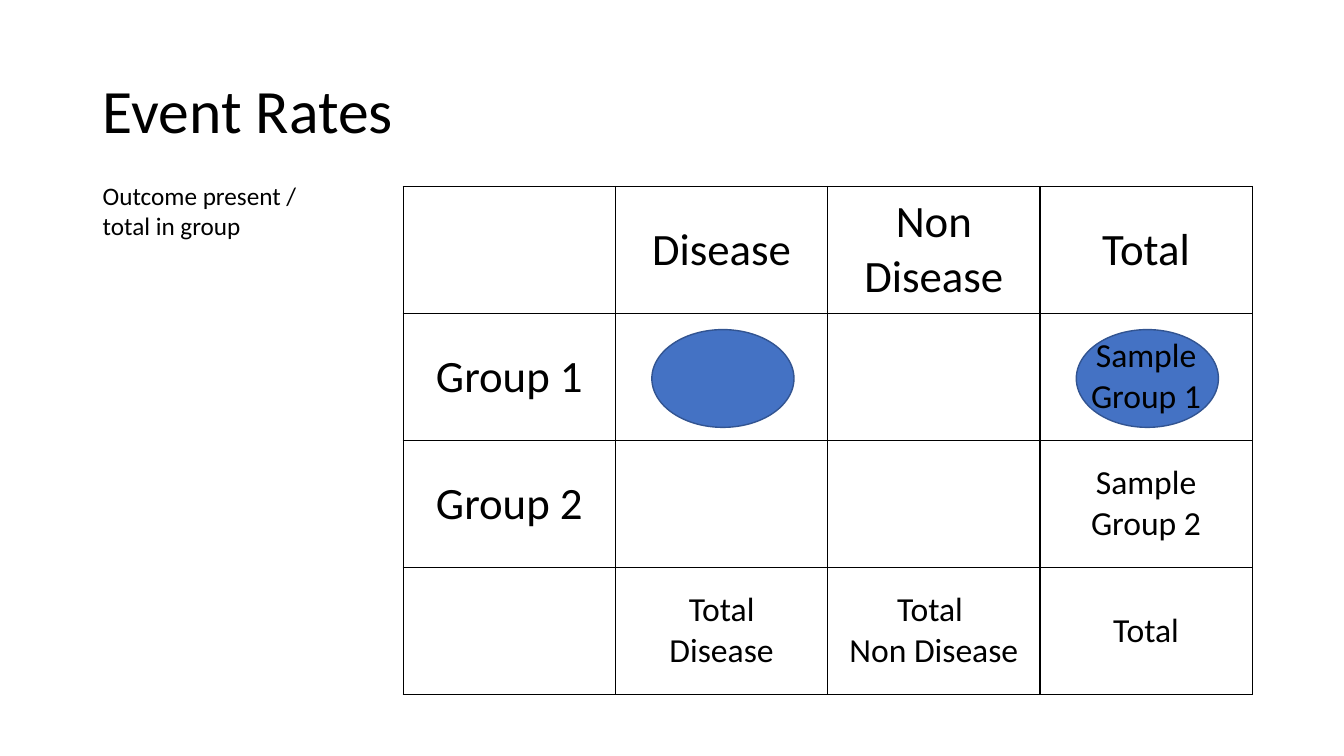
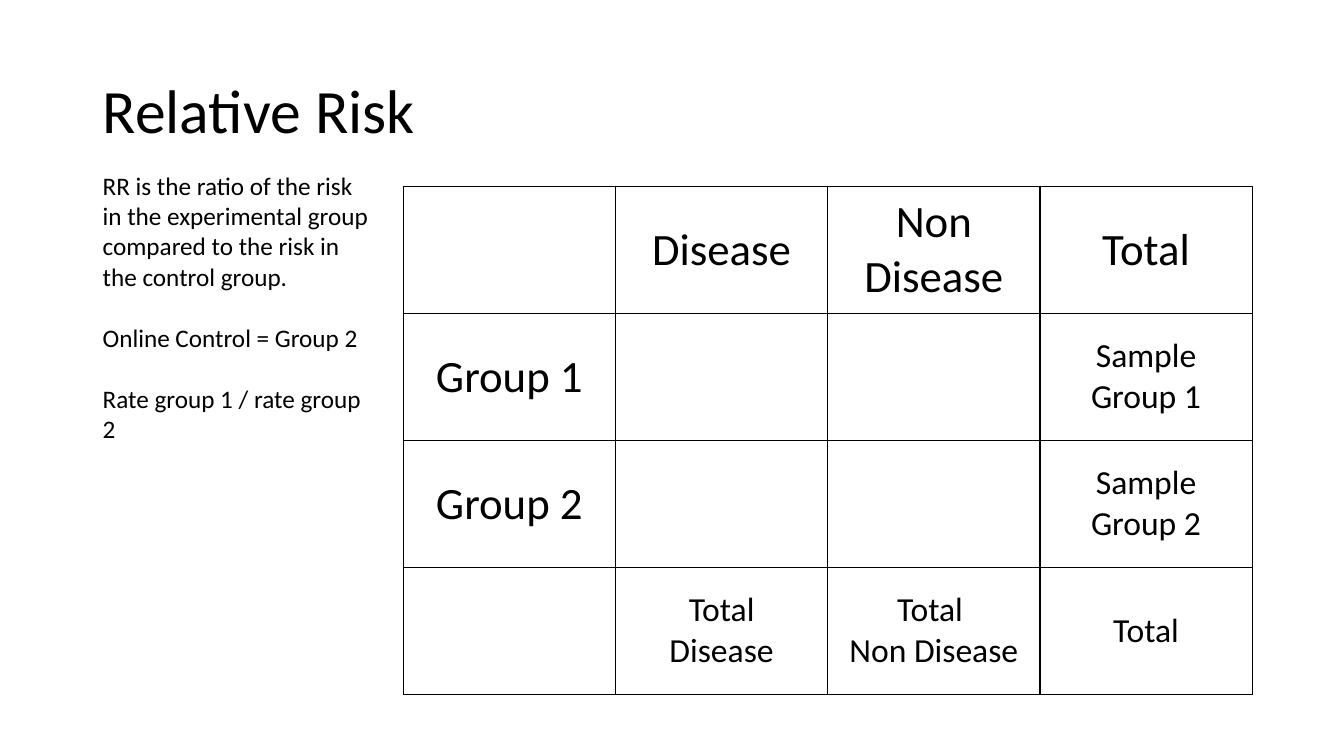
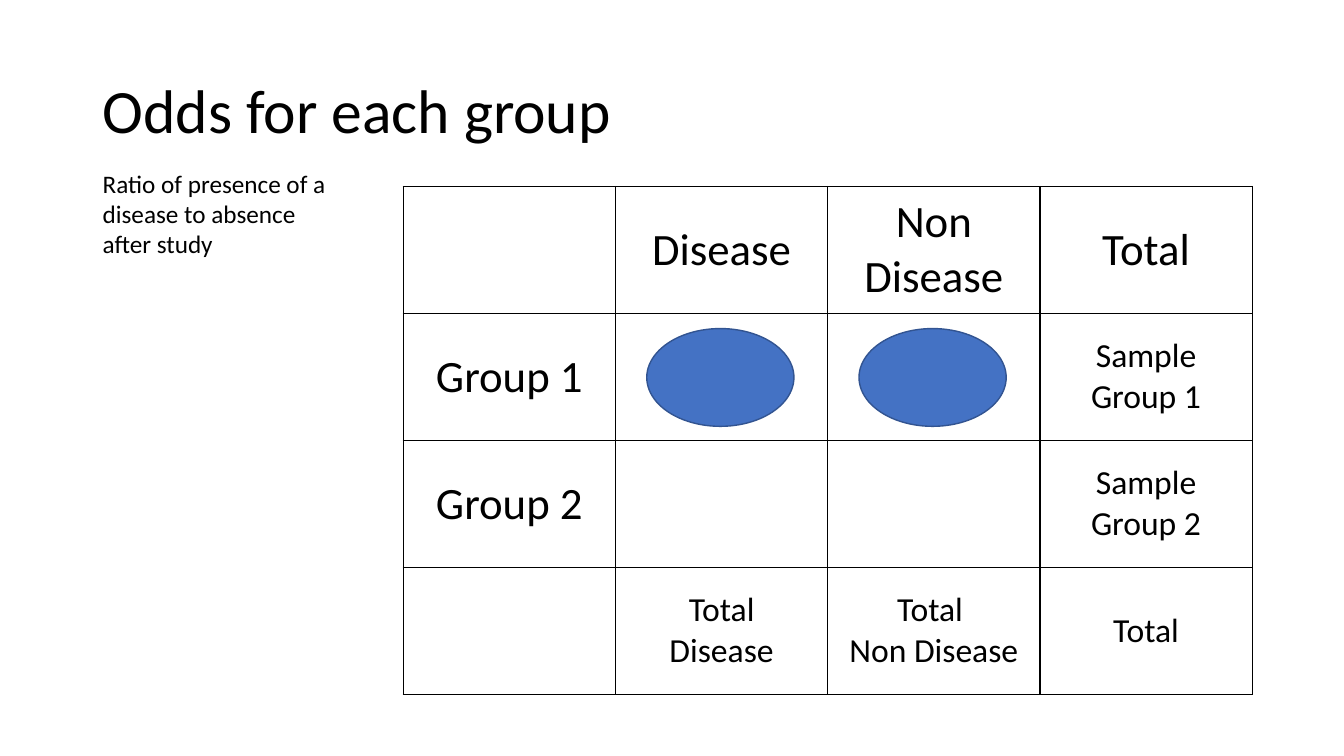
from lxml.etree import SubElement as Sub
from pptx import Presentation
from pptx.dml.color import RGBColor as RGB
from pptx.enum.shapes import MSO_SHAPE as Kind
from pptx.enum.text import MSO_ANCHOR as Anchor, MSO_AUTO_SIZE as Auto, PP_ALIGN as Align
from pptx.oxml.ns import qn
from pptx.util import Inches, Pt

HUES = {"ink": "000000", "oval": "4472C4", "edge": "325491"}
FACE = "Calibri"
SIZES = {"title": Pt(44), "head": Pt(32), "cell": Pt(24), "note": Pt(18)}
HEAD = (0.92, 0.4, 11.5, 1.45)
GRID = (4, 1.85, 8.42, 5.04)
ROWS = [
    ["", "Disease", "Non Disease", "Total"],
    ["Group 1", "", "", "Sample Group 1"],
    ["Group 2", "", "", "Sample Group 2"],
    ["", "Total\nDisease", "Total \nNon Disease", "Total"],
]
COUNT = len(ROWS)

PAGES = [
    {
        "title": "Event Rates",
        "note": ["Outcome present / total in group"],
        "box": (0.92, 1.74, 2.39, 0.71),
        "size": (1.41, 0.97),
        "inset": (0.36, 0.16),
        "under": [(1, 3)],
        "over": [(1, 1)],
    },
    {
        "title": "Relative Risk",
        "note": [
            "RR is the ratio of the risk in the experimental group "
            "compared to the risk in the control group.",
            "Online Control = Group 2",
            "Rate group 1 / rate group 2",
        ],
        "box": (0.92, 1.64, 2.86, 2.83),
    },
    {
        "title": "Odds for each group",
        "note": ["Ratio of presence of a disease to absence after study"],
        "box": (0.92, 1.62, 2.64, 1.01),
        "size": (1.46, 0.97),
        "inset": (0.31, 0.15),
        "over": [(1, 1), (1, 2)],
    },
]


def style(item, **values):
    """Set each given attribute on an object."""
    for name, value in values.items():
        setattr(item, name, value)


def write(frame, lines, size, align, **values):
    """Fill a text frame with one paragraph for each line."""
    frame.text = "\n".join(lines)
    for para in frame.paragraphs:
        style(para, alignment=align, **values)
        style(para.font, name=FACE, size=size, bold=False)
        para.font.color.rgb = RGB.from_string(HUES["ink"])


def add_title(slide, text, box):
    """Place the slide title in its box."""
    title = slide.shapes.title
    left, top, width, height = map(Inches, box)
    style(title, left=left, top=top, width=width, height=height)
    title.text_frame.vertical_anchor = Anchor.MIDDLE
    write(title.text_frame, [text], SIZES["title"], Align.LEFT, line_spacing=0.9)


def add_note(slide, lines, box):
    """Place the explanation beside the table."""
    frame = slide.shapes.add_textbox(*map(Inches, box)).text_frame
    style(frame, word_wrap=True, auto_size=Auto.SHAPE_TO_FIT_TEXT)
    write(frame, lines, SIZES["note"], Align.LEFT)
    for para in frame.paragraphs[1:]:
        para.space_before = Pt(22)


def add_edges(cell):
    """Draw a thin line on all four sides of a cell."""
    props = cell._tc.get_or_add_tcPr()
    for side in ("lnL", "lnR", "lnT", "lnB"):
        line = Sub(props, qn("a:" + side), w=str(Pt(1)))
        fill = Sub(line, qn("a:solidFill"))
        Sub(fill, qn("a:srgbClr"), val=HUES["ink"])


def add_grid(slide, box):
    """Place the two-by-two table with its totals."""
    table = slide.shapes.add_table(COUNT, COUNT, *map(Inches, box)).table
    style(table, first_row=False, horz_banding=False)
    for i, row in enumerate(ROWS):
        table.columns[i].width = Inches(box[2] / COUNT)
        table.rows[i].height = Inches(box[3] / COUNT)
        for j, text in enumerate(row):
            cell = table.cell(i, j)
            add_edges(cell)
            cell.fill.background()
            cell.vertical_anchor = Anchor.MIDDLE
            size = SIZES["head" if i == 0 or j == 0 else "cell"]
            write(cell.text_frame, text.split("\n"), size, Align.CENTER)


def add_ovals(slide, spots, page, box):
    """Mark the given table cells with ovals."""
    left, top, width, height = box
    for row, col in spots:
        dx, dy = page["inset"]
        x = left + col * width / COUNT + dx
        y = top + row * height / COUNT + dy
        oval = slide.shapes.add_shape(Kind.OVAL, *map(Inches, (x, y, *page["size"])))
        oval.shadow.inherit = False
        oval.fill.solid()
        oval.fill.fore_color.rgb = RGB.from_string(HUES["oval"])
        oval.line.color.rgb = RGB.from_string(HUES["edge"])
        oval.line.width = Pt(1)


def add_page(deck, page):
    """Build one slide with title, table, note and marks."""
    slide = deck.slides.add_slide(deck.slide_layouts[5])
    add_ovals(slide, page.get("under", []), page, GRID)
    add_title(slide, page["title"], HEAD)
    add_grid(slide, GRID)
    add_note(slide, page["note"], page["box"])
    add_ovals(slide, page.get("over", []), page, GRID)


def main():
    """Build and save the deck."""
    deck = Presentation()
    style(deck, slide_width=Inches(13.33), slide_height=Inches(7.5))
    for page in PAGES:
        add_page(deck, page)
    deck.save("out.pptx")


if __name__ == "__main__":
    main()
